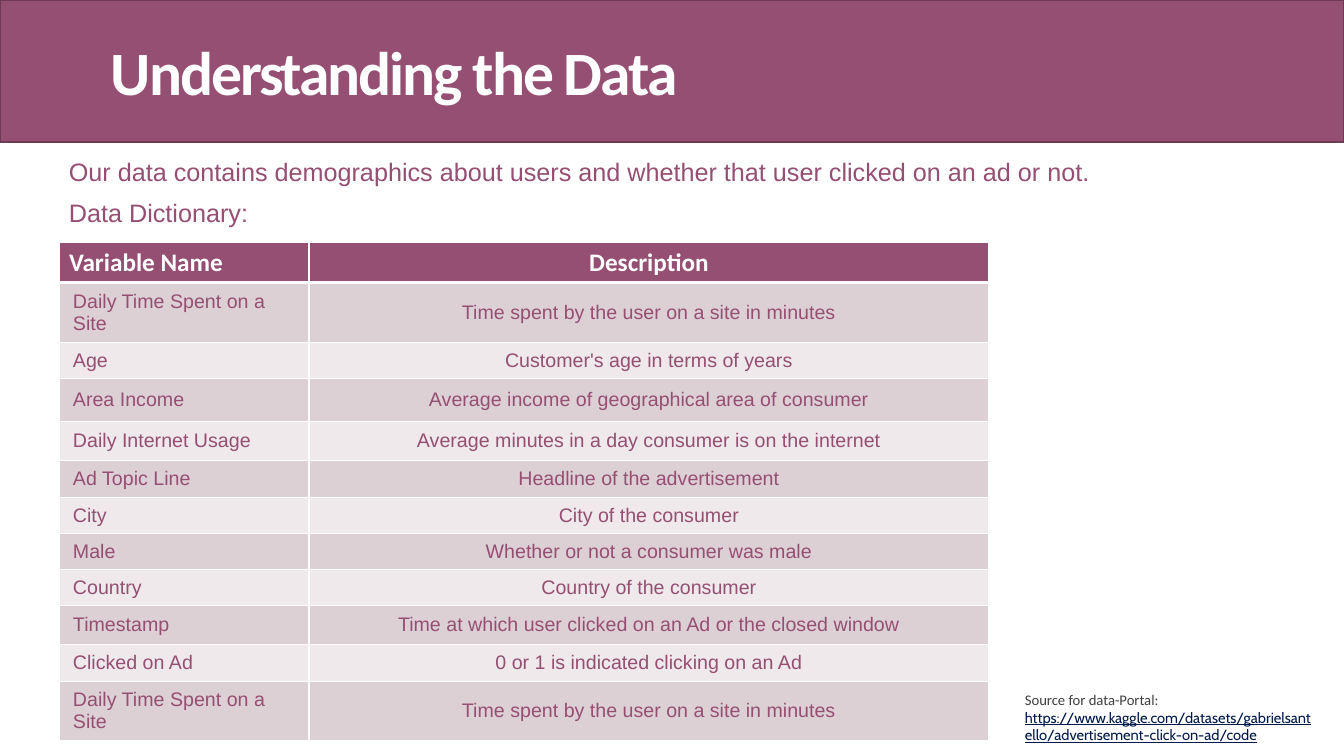
from pptx import Presentation
from pptx.dml.color import RGBColor
from pptx.enum.shapes import MSO_SHAPE
from pptx.enum.text import MSO_ANCHOR, PP_ALIGN
from pptx.oxml.ns import qn
from pptx.util import Pt
from lxml.etree import SubElement

# Content
TITLE = "Understanding the Data"
INTRO = [
    ("Our data contains demographics about users and whether that user clicked on an ad or not.",
     {"line_spacing": 1.07, "space_after": Pt(8)}),
    ("Data Dictionary:", {"line_spacing": 1.0}),
]
HEADER = ("Variable Name", "Description")
TIME_ON_SITE = ("Daily Time Spent on a Site", "Time spent by the user on a site in minutes")
VARIABLES = [
    TIME_ON_SITE,
    ("Age", "Customer's age in terms of years"),
    ("Area Income", "Average income of geographical area of consumer"),
    ("Daily Internet Usage", "Average minutes in a day consumer is on the internet"),
    ("Ad Topic Line", "Headline of the advertisement"),
    ("City", "City of the consumer"),
    ("Male", "Whether or not a consumer was male"),
    ("Country", "Country of the consumer"),
    ("Timestamp", "Time at which user clicked on an Ad or the closed window"),
    ("Clicked on Ad", "0 or 1 is indicated clicking on an Ad"),
    TIME_ON_SITE,
]
SOURCE_LABEL = "Source for data-Portal: "
SOURCE_LINK = "https://www.kaggle.com/datasets/gabrielsantello/advertisement-click-on-ad/code"

# Look
COLORS = {
    "plum": "954F72", "plum_edge": "6E3A54", "white": "FFFFFF",
    "band_dark": "DDD0D5", "band_light": "EFE9EB",
    "gray": "3F3F3F", "navy": "00194C",
}
TITLE_FONT = {"name": "Calibri", "size": Pt(44), "bold": True, "color": "white"}
INTRO_FONT = {"name": "Arial", "size": Pt(18), "color": "plum"}
HEADER_FONT = {"name": "Calibri", "size": Pt(18), "bold": True, "color": "white"}
CELL_FONT = {"name": "Arial", "size": Pt(14), "bold": False, "color": "plum"}
LABEL_FONT = {"name": "Calibri", "size": Pt(10.5), "color": "gray"}
LINK_FONT = {"name": "Cabin", "size": Pt(10.5), "underline": True, "color": "navy"}

# Layout in px
BANNER = (0, 0, 1344, 142)
INTRO_BOX = (59, 149, 1190, 85)
SOURCE_BOX = (1015, 686, 313, 70)
TABLE_LEFT, TABLE_TOP = 59, 242
COLUMN_WIDTHS = [250, 680]
ROW_HEIGHTS = [40, 60, 36, 43, 39, 37, 36, 36, 36, 39, 37, 59]
TITLE_INDENT = 111


def px(length):
    return round(length * 914400 / 100.8)


def color(name):
    return RGBColor.from_string(COLORS[name])


def add_span(para, text, look):
    span = para.add_run()
    span.text = text
    for key, value in look.items():
        if key == "color":
            span.font.color.rgb = color(value)
        else:
            setattr(span.font, key, value)
    return span


def add_text_box(page, place):
    frame = page.shapes.add_textbox(*map(px, place)).text_frame
    frame.word_wrap = True
    return frame


def set_borders(cell, top, bottom):
    properties = cell._tc.get_or_add_tcPr()
    for side, points in (("L", 1), ("R", 1), ("T", top), ("B", bottom)):
        line = SubElement(properties, qn("a:ln" + side), w=str(Pt(points)))
        fill = SubElement(line, qn("a:solidFill"))
        SubElement(fill, qn("a:srgbClr"), val=COLORS["white"])


deck = Presentation()
deck.slide_width, deck.slide_height = px(1344), px(756)
page = deck.slides.add_slide(deck.slide_layouts[6])

# Title banner
banner = page.shapes.add_shape(MSO_SHAPE.RECTANGLE, *map(px, BANNER))
banner.shadow.inherit = False
banner.fill.solid()
banner.fill.fore_color.rgb = color("plum")
banner.line.color.rgb = color("plum_edge")
banner.line.width = Pt(1)
frame = banner.text_frame
frame.margin_left = px(TITLE_INDENT)
frame.vertical_anchor = MSO_ANCHOR.MIDDLE
para = frame.paragraphs[0]
para.alignment = PP_ALIGN.LEFT
span = add_span(para, TITLE, TITLE_FONT)
span.font._element.set("spc", "-150")

# Introduction
frame = add_text_box(page, INTRO_BOX)
for index, (text, spacing) in enumerate(INTRO):
    para = frame.add_paragraph() if index else frame.paragraphs[0]
    for key, value in spacing.items():
        setattr(para, key, value)
    add_span(para, text, INTRO_FONT)

# Data dictionary
rows = [HEADER] + VARIABLES
table = page.shapes.add_table(
    len(rows), len(HEADER), px(TABLE_LEFT), px(TABLE_TOP),
    px(sum(COLUMN_WIDTHS)), px(sum(ROW_HEIGHTS)),
).table
for column, width in zip(table.columns, COLUMN_WIDTHS):
    column.width = px(width)
for row, height in zip(table.rows, ROW_HEIGHTS):
    row.height = px(height)
for row_index, texts in enumerate(rows):
    is_header = row_index == 0
    band = "plum" if is_header else "band_dark" if row_index % 2 else "band_light"
    for column_index, text in enumerate(texts):
        cell = table.cell(row_index, column_index)
        set_borders(cell, 3 if row_index == 1 else 1, 3 if is_header else 1)
        cell.fill.solid()
        cell.fill.fore_color.rgb = color(band)
        if not is_header:
            cell.vertical_anchor = MSO_ANCHOR.MIDDLE
            cell.margin_left = cell.margin_right = px(14)
            cell.margin_top = cell.margin_bottom = px(6)
        para = cell.text_frame.paragraphs[0]
        para.alignment = PP_ALIGN.CENTER if column_index else PP_ALIGN.LEFT
        add_span(para, text, HEADER_FONT if is_header else CELL_FONT)

# Source
para = add_text_box(page, SOURCE_BOX).paragraphs[0]
add_span(para, SOURCE_LABEL, LABEL_FONT)
add_span(para, SOURCE_LINK, LINK_FONT)

deck.save("out.pptx")
